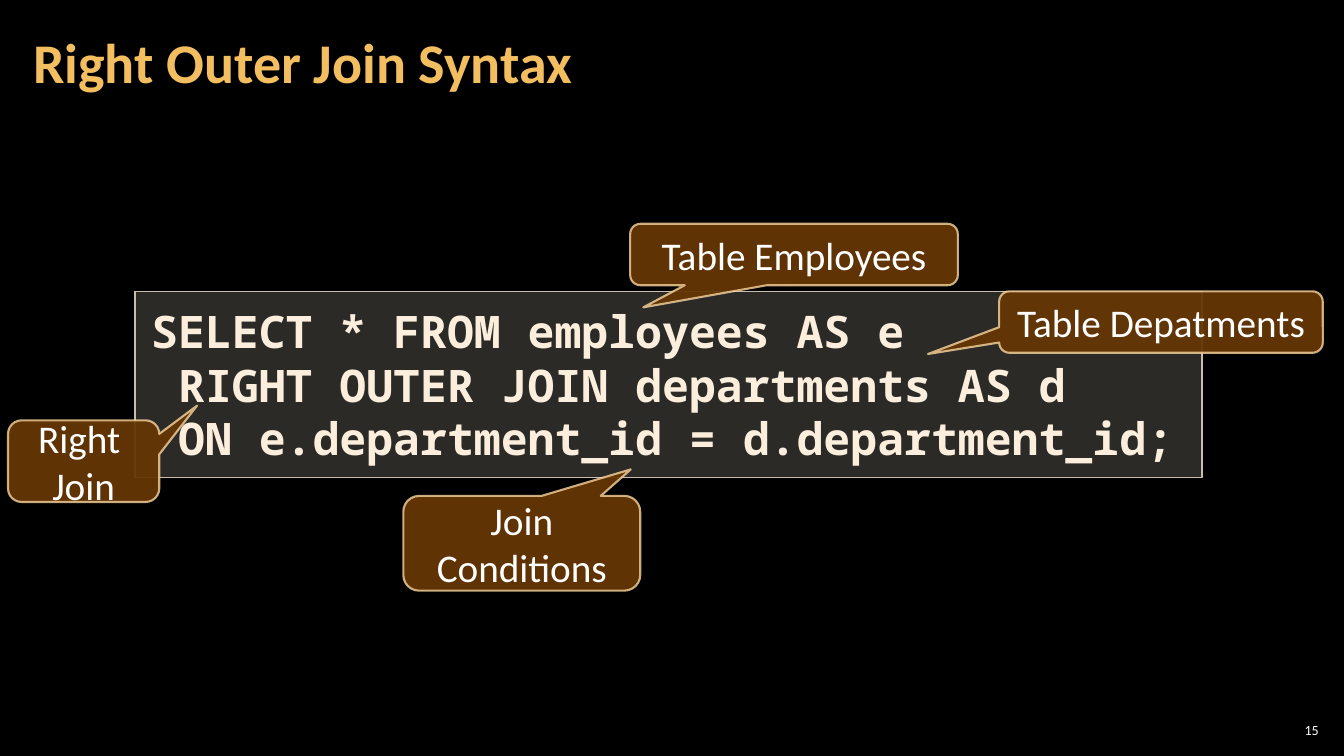
from dataclasses import dataclass

from lxml.etree import SubElement
from pptx import Presentation
from pptx.dml.color import RGBColor
from pptx.enum.shapes import MSO_SHAPE as Preset
from pptx.enum.text import MSO_ANCHOR as Anchor, PP_ALIGN as Align
from pptx.oxml.ns import qn
from pptx.shapes.autoshape import Shape
from pptx.slide import Slide
from pptx.util import Inches, Pt

COLORS = {
    "background": "000000",
    "title": "F3BE60",
    "text": "FFFFFF",
    "code": "FBEEDC",
    "code_fill": "D9D5C7",
    "code_line": "C7BFAC",
    "callout_fill": "663606",
    "callout_line": "F8D49E",
}
TEXT_FONT = "Calibri"
CODE_FONT = "Noto Sans Mono"


@dataclass(frozen=True)
class Box:
    left: float
    top: float
    width: float
    height: float

    def lengths(self) -> list[int]:
        return [Inches(n) for n in (self.left, self.top, self.width, self.height)]


@dataclass(frozen=True)
class TextStyle:
    size: int
    color: str
    font: str = TEXT_FONT
    bold: bool = False
    align: Align = Align.LEFT
    anchor: Anchor = Anchor.MIDDLE
    margins: tuple[float, float] = (0.1, 0.05)
    line_spacing: float = 1.0


@dataclass(frozen=True)
class Callout:
    lines: tuple[str, ...]
    box: Box
    tip: tuple[float, float]  # offset from the centre, in shares of width and height


TITLE = TextStyle(40, "title", bold=True, margins=(0.12, 0.04), line_spacing=0.9)
NUMBER = TextStyle(10, "text", align=Align.RIGHT, margins=(0.04, 0.04))
CODE = TextStyle(32, "code", CODE_FONT, bold=True, anchor=Anchor.TOP, margins=(0.16, 0.12))
LABEL = TextStyle(28, "text", align=Align.CENTER)

QUERY = (
    "SELECT * FROM employees AS e",
    " RIGHT OUTER JOIN departments AS d",
    " ON e.department_id = d.department_id;",
)
CALLOUTS = (
    Callout(("Table Depatments",), Box(9.91, 2.89, 3.21, 0.61), (-0.72, 0.52)),
    Callout(("Table Employees",), Box(6.25, 2.22, 3.25, 0.61), (-0.46, 0.86)),
    Callout(("Join Conditions",), Box(4, 4.92, 2.35, 0.94), (0.46, -0.78)),
    Callout(("Right ", "Join"), Box(0.08, 4.17, 1.5, 0.81), (0.75, -0.68)),
)


def rgb(name: str) -> RGBColor:
    return RGBColor.from_string(COLORS[name])


def set_opacity(shape: Shape, fill: int, line: int = 100) -> None:
    """Set the opacity of a solid fill and line, in percent."""
    properties = shape.fill._xPr
    for parent, percent in ((properties, fill), (properties.find(qn("a:ln")), line)):
        color = parent.find(qn("a:solidFill"))[0]
        SubElement(color, qn("a:alpha")).set("val", str(percent * 1000))


def write(shape: Shape, paragraphs: list[tuple[str, ...]], style: TextStyle) -> None:
    """Write paragraphs, each a tuple of lines parted by line breaks."""
    frame = shape.text_frame
    frame.word_wrap = True
    frame.vertical_anchor = style.anchor
    frame.margin_left = frame.margin_right = Inches(style.margins[0])
    frame.margin_top = frame.margin_bottom = Inches(style.margins[1])
    for index, lines in enumerate(paragraphs):
        paragraph = frame.add_paragraph() if index else frame.paragraphs[0]
        paragraph.alignment = style.align
        paragraph.line_spacing = style.line_spacing
        for number, line in enumerate(lines):
            if number:
                paragraph.add_line_break()
            run = paragraph.add_run()
            run.text = line
            run.font.name = style.font
            run.font.size = Pt(style.size)
            run.font.bold = style.bold
            run.font.color.rgb = rgb(style.color)


def add_text(slide: Slide, box: Box, text: str, style: TextStyle) -> None:
    write(slide.shapes.add_textbox(*box.lengths()), [(text,)], style)


def add_panel(slide: Slide, preset: Preset, box: Box, role: str, line_width: float) -> Shape:
    """Add a shape with the fill and line colours of its role."""
    shape = slide.shapes.add_shape(preset, *box.lengths())
    shape.shadow.inherit = False
    shape.fill.solid()
    shape.fill.fore_color.rgb = rgb(f"{role}_fill")
    shape.line.color.rgb = rgb(f"{role}_line")
    shape.line.width = Pt(line_width)
    return shape


def add_code(slide: Slide, box: Box) -> None:
    panel = add_panel(slide, Preset.RECTANGLE, box, "code", 1)
    set_opacity(panel, 20)
    write(panel, [(line,) for line in QUERY], CODE)


def add_callout(slide: Slide, callout: Callout) -> None:
    shape = add_panel(slide, Preset.ROUNDED_RECTANGULAR_CALLOUT, callout.box, "callout", 1.5)
    shape.adjustments[0], shape.adjustments[1] = callout.tip
    set_opacity(shape, 95, 80)
    write(shape, [callout.lines], LABEL)


def main() -> None:
    presentation = Presentation()
    presentation.slide_width = Inches(13.33)
    presentation.slide_height = Inches(7.5)
    slide = presentation.slides.add_slide(presentation.slide_layouts[6])
    slide.background.fill.solid()
    slide.background.fill.fore_color.rgb = rgb("background")

    add_code(slide, Box(1.34, 2.89, 10.58, 1.85))
    add_text(slide, Box(12.65, 7.14, 0.47, 0.21), "15", NUMBER)
    add_text(slide, Box(0.21, 0.04, 10.47, 1.21), "Right Outer Join Syntax", TITLE)
    for callout in CALLOUTS:
        add_callout(slide, callout)
    presentation.save("out.pptx")


if __name__ == "__main__":
    main()
